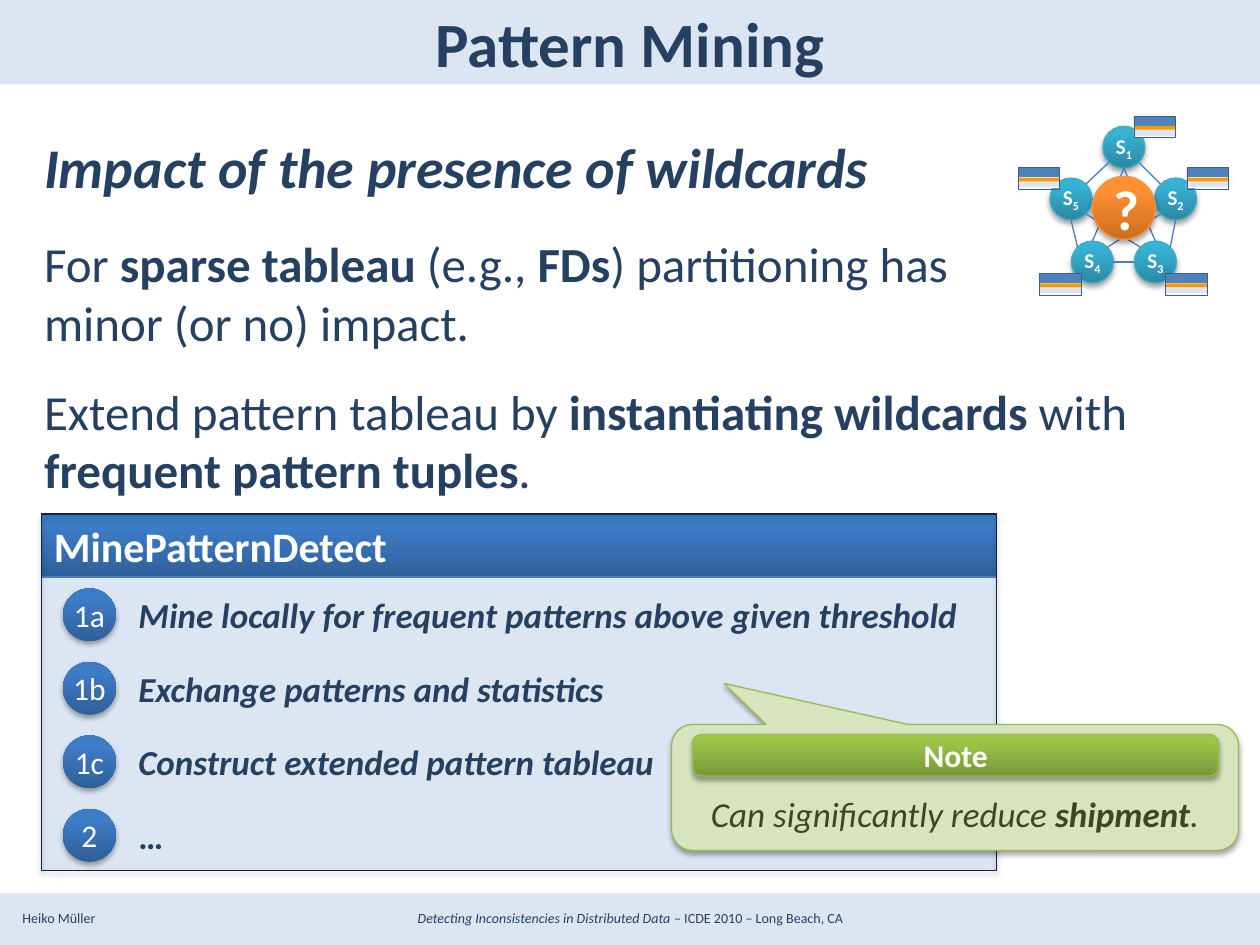
from copy import deepcopy
from math import cos, radians, sin

from lxml.etree import SubElement
from pptx import Presentation
from pptx.dml.color import RGBColor
from pptx.enum.shapes import MSO_CONNECTOR, MSO_SHAPE as Preset
from pptx.enum.text import MSO_ANCHOR as Anchor, MSO_AUTO_SIZE, PP_ALIGN as Align
from pptx.oxml.ns import qn
from pptx.util import Inches, Pt


class Theme:
    font = "Calibri"
    navy, pale, white = "254061", "DCE6F2", "FFFFFF"
    frame, wire, flag_edge = "0F243E", "4B7EBC", "3A5F8C"
    flag_top, flag_stripe = "4F81BD", "FF9900"
    note_fill, note_edge, note_text = "D7E4BD", "98B955", "3B4A1E"
    node_edge, question_edge = "46AAC5", "F69240"
    # Gradients run from bottom to top, with stops at 0, 80 and 100 percent
    blue = ("2F5F99", "3D7CC7", "3A7CCB")
    green = ("779737", "9BC348", "9DC746")
    teal = ("2A88A2", "37B1D2", "34B4D6")
    orange = ("CC6E20", "FF9034", "FF9136")
    title, heading, body, box_title = 36, 32, 28, 24
    step, badge, node, footer = 20, 18, 12, 8


def write(shape, text, size, color=Theme.navy, bold=False, italic=False, align=None,
          anchor=None, wrap=True, subscript=False):
    """Append a run to the last paragraph of a shape; a newline is a line break."""
    frame = shape.text_frame
    frame.word_wrap = wrap
    paragraph = frame.paragraphs[-1]
    if anchor is not None:
        frame.vertical_anchor = anchor
    if align is not None:
        paragraph.alignment = align
    for number, line in enumerate(text.split("\n")):
        if number:
            paragraph.add_line_break()
        run = paragraph.add_run()
        run.text = line
        font = run.font
        font.name, font.size, font.bold, font.italic = Theme.font, Pt(size), bold, italic
        font.color.rgb = RGBColor.from_string(color)
        if subscript:
            font._element.set("baseline", "-25000")


def draw(preset, left, top, width, height, fill=None, line=None, weight=0.75, shadow=False):
    """Add a preset shape; fill is a colour, a three-stop gradient or None."""
    shape = slide.shapes.add_shape(preset, Inches(left), Inches(top), Inches(width), Inches(height))
    shape.shadow.inherit = False
    if fill is None:
        shape.fill.background()
    elif isinstance(fill, str):
        shape.fill.solid()
        shape.fill.fore_color.rgb = RGBColor.from_string(fill)
    else:
        shape.fill.gradient()
        shape.fill.gradient_angle = 90
        last = shape._element.spPr.find(".//" + qn("a:gsLst"))[-1]
        last.addprevious(deepcopy(last))
        for stop, position, color in zip(shape.fill.gradient_stops, (0, 0.8, 1), fill):
            stop.position = position
            stop.color.rgb = RGBColor.from_string(color)
    if line is None:
        shape.line.fill.background()
    else:
        shape.line.color.rgb = RGBColor.from_string(line)
        shape.line.width = Pt(weight)
    if shadow:
        effects = shape._element.spPr.find(qn("a:effectLst"))
        outer = SubElement(effects, qn("a:outerShdw"), blurRad=str(Pt(3.1)), dist=str(Pt(1.8)),
                           dir="5400000", rotWithShape="0")
        black = SubElement(outer, qn("a:srgbClr"), val="000000")
        SubElement(black, qn("a:alpha"), val="35000")
    return shape


presentation = Presentation()
presentation.slide_width, presentation.slide_height = Inches(10), Inches(7.5)
slide = presentation.slides.add_slide(presentation.slide_layouts[1])
slide.background.fill.solid()
slide.background.fill.fore_color.rgb = RGBColor.from_string(Theme.pale)

# White content area, behind the placeholders
panel = draw(Preset.RECTANGLE, 0, 0.67, 10, 6.42, Theme.white)
slide.shapes._spTree.insert(2, panel._element)

# Footer
author = slide.shapes.add_textbox(Inches(0.08), Inches(7.17), Inches(1), Inches(0.24))
write(author, "Heiko Müller", Theme.footer)
venue = slide.shapes.add_textbox(Inches(0.17), Inches(7.17), Inches(9.67), Inches(0.24))
write(venue, "Detecting Inconsistencies in Distributed Data ", Theme.footer, italic=True,
      align=Align.CENTER)
write(venue, "– ICDE 2010 – Long Beach, CA", Theme.footer)

# Title
title = slide.shapes.title
title.left, title.top, title.width, title.height = Inches(0.5), 0, Inches(9), Inches(0.67)
write(title, "Pattern Mining", Theme.title, bold=True, align=Align.CENTER, anchor=Anchor.MIDDLE)

# Body: (space before, size, italic, [(text, bold), ...])
body = slide.placeholders[1]
body.left, body.top, body.width, body.height = Inches(0.25), Inches(1), Inches(9.5), Inches(5.92)
body.text_frame.auto_size = MSO_AUTO_SIZE.NONE
body_paragraphs = [
    (0, Theme.heading, True, [("Impact of the presence of wildcards", True)]),
    (19.5, Theme.body, False, [
        ("For ", False), ("sparse tableau ", True), ("(e.g., ", False), ("FDs", True),
        (") partitioning has\nminor (or no) impact.", False)]),
    (17, Theme.body, False, [
        ("Extend pattern tableau by ", False), ("instantiating wildcards ", True),
        ("with ", False), ("frequent pattern tuples", True), (".", False)]),
]
for number, (space, size, italic, runs) in enumerate(body_paragraphs):
    paragraph = body.text_frame.add_paragraph() if number else body.text_frame.paragraphs[0]
    properties = paragraph._p.get_or_add_pPr()
    properties.set("marL", "0")
    properties.set("indent", "0")
    SubElement(properties, qn("a:buNone"))
    paragraph.space_before = Pt(space)
    for text, bold in runs:
        write(body, text, size, bold=bold, italic=italic)

# Algorithm box with its numbered steps
draw(Preset.RECTANGLE, 0.33, 4.08, 7.58, 2.83, Theme.pale)
header = draw(Preset.RECTANGLE, 0.33, 4.08, 7.58, 0.5, Theme.blue, Theme.wire)
write(header, "MinePatternDetect", Theme.box_title, Theme.white, bold=True,
      align=Align.LEFT, anchor=Anchor.MIDDLE)
draw(Preset.RECTANGLE, 0.33, 4.08, 7.58, 2.83, line=Theme.frame, shadow=True)
steps = [
    ("1a", "Mine locally for frequent patterns above given threshold", 6.75),
    ("1b", "Exchange patterns and statistics", 4.33),
    ("1c", "Construct extended pattern tableau", 4.33),
    ("2", "…", 4.33),
]
for row, (label, text, width) in enumerate(steps):
    top = 4.67 + row * 7 / 12
    badge = draw(Preset.OVAL, 0.5, top, 0.42, 0.42, Theme.blue, shadow=True)
    write(badge, label, Theme.badge, Theme.white, align=Align.CENTER, anchor=Anchor.MIDDLE,
          wrap=False)
    step = slide.shapes.add_textbox(Inches(1), Inches(top), Inches(width), Inches(0.42))
    write(step, text, Theme.step, bold=True, italic=text != "…", anchor=Anchor.MIDDLE)

# Note callout
callout = draw(Preset.ROUNDED_RECTANGULAR_CALLOUT, 5.33, 5.75, 4.5, 1, Theme.note_fill,
               Theme.note_edge, shadow=True)
for index, value in enumerate((-0.407, -0.825, 0.167)):
    callout.adjustments[index] = value
callout.text_frame.margin_top = Inches(0.46)
for text, bold in [("Can significantly reduce ", False), ("shipment", True), (".", False)]:
    write(callout, text, Theme.step, Theme.note_text, bold=bold, italic=True,
          align=Align.CENTER, anchor=Anchor.MIDDLE)
note = draw(Preset.ROUNDED_RECTANGLE, 5.5, 5.83, 4.17, 0.33, Theme.green, Theme.note_edge,
            shadow=True)
note.adjustments[0] = 0.2
write(note, "Note", Theme.badge, Theme.white, bold=True, align=Align.CENTER, anchor=Anchor.MIDDLE)

# Network sites, by centre
radius = 1 / 6
centres = {"1": (8.92, 1.17), "5": (8.5, 1.58), "2": (9.33, 1.58), "4": (8.67, 2.08),
           "3": (9.17, 2.08)}
for label, (x, y) in centres.items():
    node = draw(Preset.OVAL, x - radius, y - radius, 2 * radius, 2 * radius, Theme.teal,
                Theme.node_edge, shadow=True)
    for text, subscript in [("S", False), (label, True)]:
        write(node, text, Theme.node, Theme.white, bold=True, align=Align.CENTER,
              anchor=Anchor.MIDDLE, wrap=False, subscript=subscript)

# Links: site and clockwise angle on its rim (0 is right) at each end
links = [("1", 45, "2", 225), ("2", 90, "3", 315), ("4", 0, "3", 180), ("4", 225, "5", 90),
         ("5", 315, "1", 135), ("5", 0, "2", 180), ("5", 45, "3", 225), ("2", 135, "4", 315),
         ("4", 270, "1", 90), ("1", 90, "3", 270)]
for start, start_angle, end, end_angle in links:
    points = []
    for label, angle in [(start, start_angle), (end, end_angle)]:
        x, y = centres[label]
        points += [Inches(x + radius * cos(radians(angle))),
                   Inches(y + radius * sin(radians(angle)))]
    link = slide.shapes.add_connector(MSO_CONNECTOR.STRAIGHT, *points)
    link.line.color.rgb = RGBColor.from_string(Theme.wire)
    link.line.width = Pt(0.75)
    SubElement(link._element.spPr, qn("a:effectLst"))

# Central question mark
question = draw(Preset.OVAL, 8.67, 1.4, 0.5, 0.5, Theme.orange, Theme.question_edge, shadow=True)
write(question, "?", Theme.heading, Theme.white, bold=True, align=Align.CENTER,
      anchor=Anchor.MIDDLE)

# Small data tables beside the sites
for left, top in [(8.08, 1.33), (9, 0.92), (9.42, 1.33), (9.25, 2.17), (8.25, 2.17)]:
    draw(Preset.RECTANGLE, left, top, 0.33, 0.08, Theme.flag_top, Theme.white, 0.25)
    draw(Preset.RECTANGLE, left, top + 0.08, 0.33, 0.08, Theme.pale, Theme.white, 0.25)
    draw(Preset.RECTANGLE, left, top + 0.08, 0.33, 0.03, Theme.flag_stripe)
    draw(Preset.RECTANGLE, left, top, 0.33, 0.17, line=Theme.flag_edge, weight=0.25)

presentation.save("out.pptx")
